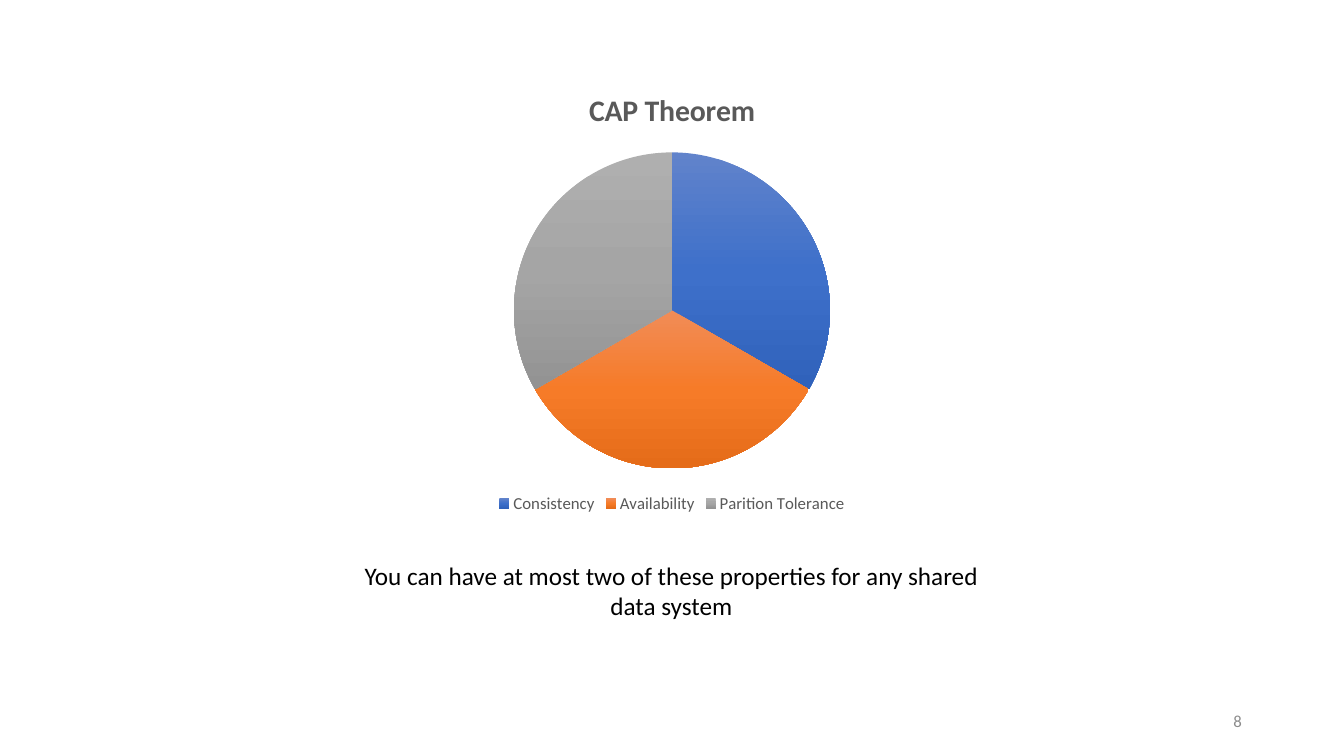
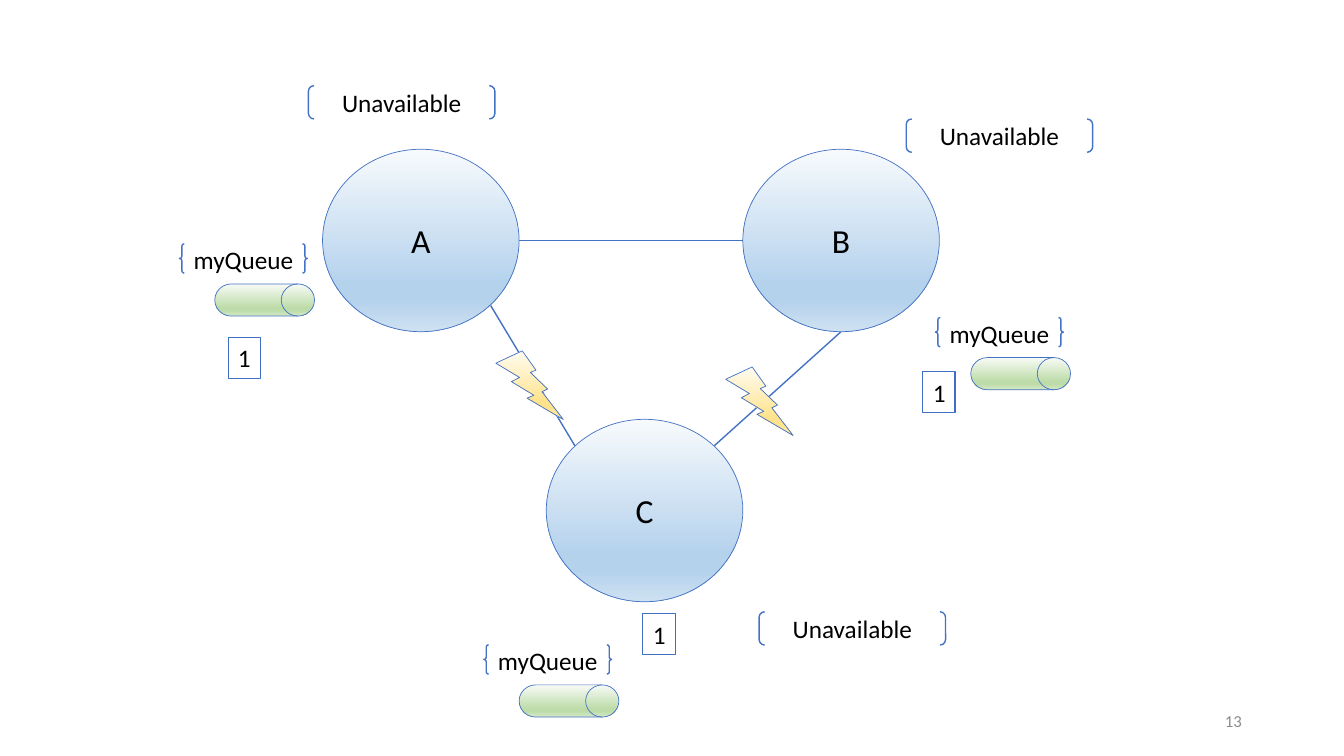
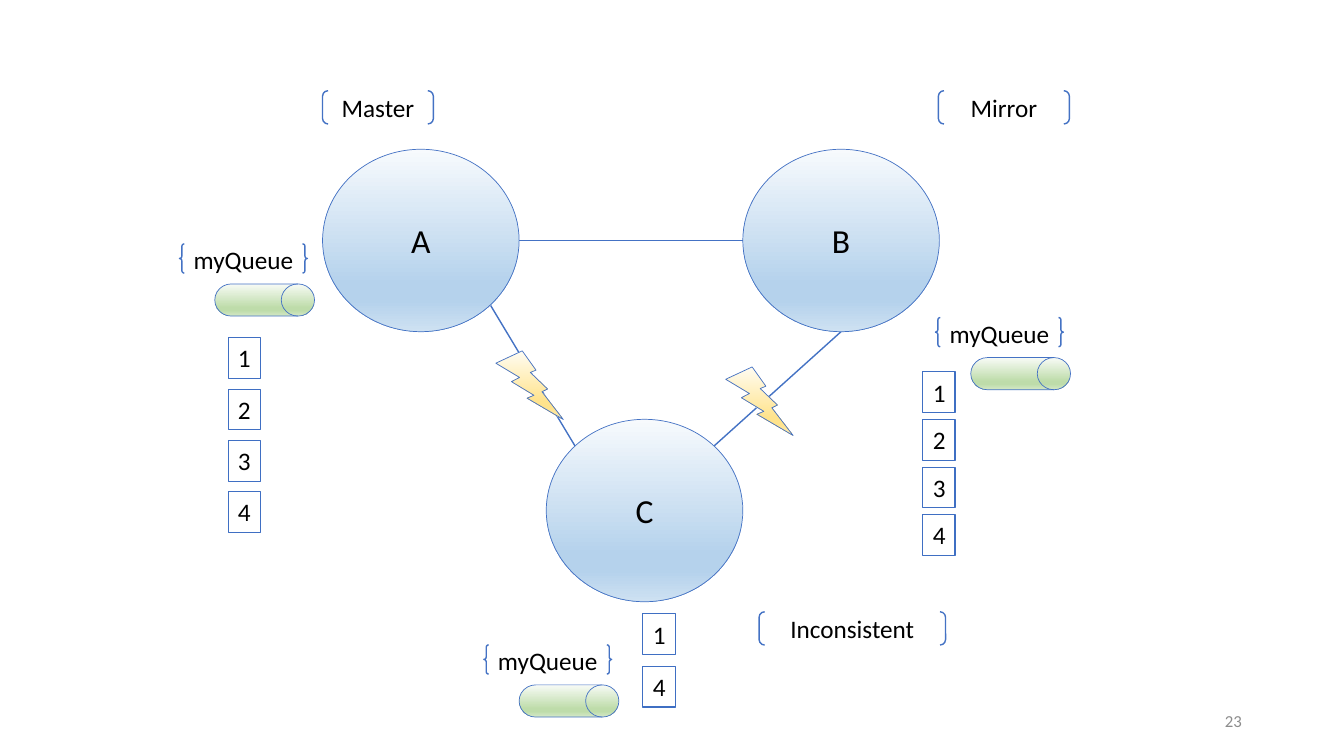
from math import sqrt

from lxml import etree
from pptx import Presentation
from pptx import util as u
from pptx.chart import data
from pptx.dml.color import RGBColor
from pptx.enum import chart as charts, shapes, text
from pptx.oxml import ns

Pt = u.Pt
Kind = shapes.MSO_SHAPE
Align = text.PP_ALIGN
Anchor = text.MSO_ANCHOR

# Shared look
FONT = "Calibri"
BLACK = RGBColor(0x00, 0x00, 0x00)
GRAY = RGBColor(0x59, 0x59, 0x59)
PALE = RGBColor(0x8C, 0x8C, 0x8C)
BLUE = RGBColor(0x44, 0x72, 0xC4)
EDGE = RGBColor(0x3F, 0x6F, 0xC3)


def ramp(places, *codes):
    return [(at, RGBColor.from_string(code)) for at, code in zip(places, codes)]


SOFT = (0, 74, 83, 100)
SKY = ramp(SOFT, "F7FAFD", "B5D2EC", "B5D2EC", "CEE1F2")
LEAF = ramp(SOFT, "F8FBF6", "BEDCAA", "BEDCAA", "D4E8C6")
GOLD = ramp(SOFT, "FFFCF2", "FFE38C", "FFE38C", "FFECB2")
EVEN = (0, 50, 100)
SLICES = [
    ("Consistency", ramp(EVEN, "6183CB", "3E70CA", "3062BB")),
    ("Availability", ramp(EVEN, "F18C57", "F67B28", "E56C19")),
    ("Parition Tolerance", ramp(EVEN, "AFAFAF", "A5A5A5", "939393")),
]

# Cluster layout, in points
NODE_W, NODE_H = 140.4, 130.3
NODES = {"A": (230.4, 106.6), "B": (530.6, 106.6), "C": (390.2, 299.5)}
QUEUES = [(128.2, 174.2), (345.6, 460.6), (668.2, 226.8)]
BOLTS = [(518.4, 262.1), (354.2, 250.6)]
STACKS = {"A": (162.9, 241.2, 36.7), "B": (659.2, 265.7, 34), "C": (459.2, 438.5, 37.4)}


def style(font, size, color, bold=False):
    font.name, font.size, font.bold = FONT, Pt(size), bold
    font.color.rgb = color


def write(shape, words, size=18, color=BLACK, align=Align.CENTER,
          anchor=Anchor.MIDDLE, wrap=True):
    frame = shape.text_frame
    frame.text = words
    frame.word_wrap = wrap
    frame.vertical_anchor = anchor
    para = frame.paragraphs[0]
    para.alignment = align
    style(para.runs[0].font, size, color)


def shade(fill, root, stops):
    """Fill from top to bottom; root holds the newest gradient last."""
    fill.gradient()
    fill.gradient_angle = 270
    stop_list = list(root.iter(ns.qn("a:gsLst")))[-1]
    for old in list(stop_list):
        stop_list.remove(old)
    for at, color in stops:
        stop = etree.SubElement(stop_list, ns.qn("a:gs"), pos=str(at * 1000))
        etree.SubElement(stop, ns.qn("a:srgbClr"), val=str(color))


def label(slide, words, left, top, width, height, **look):
    box = slide.shapes.add_textbox(Pt(left), Pt(top), Pt(width), Pt(height))
    write(box, words, **look)


def draw(slide, kind, left, top, width, height, stops=None, line=BLUE, weight=0.5):
    shape = slide.shapes.add_shape(kind, Pt(left), Pt(top), Pt(width), Pt(height))
    shape.shadow.inherit = False
    shape.line.color.rgb = line
    shape.line.width = Pt(weight)
    if stops:
        shade(shape.fill, shape.element, stops)
    else:
        shape.fill.background()
    return shape


def link(slide, start, end):
    line = slide.shapes.add_connector(
        shapes.MSO_CONNECTOR.STRAIGHT, *(Pt(n) for n in start + end))
    line.line.color.rgb = BLUE
    line.line.width = Pt(1)
    etree.SubElement(line.element.spPr, ns.qn("a:effectLst"))


def rim(name, across, down):
    """Point on a node's outline, in the given direction from its centre."""
    left, top = NODES[name]
    size = sqrt(across ** 2 + down ** 2)
    return (left + NODE_W / 2 * (1 + across / size),
            top + NODE_H / 2 * (1 + down / size))


def queue(slide, left, top):
    brace = draw(slide, Kind.DOUBLE_BRACE, left, top, 91.4, 20.9, weight=1)
    write(brace, "myQueue", wrap=False)
    draw(slide, Kind.FLOWCHART_DIRECT_ACCESS_STORAGE, left + 25.2, top + 28.6,
         71.3, 23, LEAF)


def stack(slide, name, items):
    left, top, step = STACKS[name]
    for row, item in enumerate(items):
        box = draw(slide, Kind.RECTANGLE, left, top + row * step, 23, 29.1,
                   line=EDGE, weight=0.75)
        write(box, item, align=Align.LEFT, anchor=Anchor.TOP, wrap=False)


def state(slide, words, left, top, width):
    write(draw(slide, Kind.DOUBLE_BRACKET, left, top, width, 23.8, weight=1), words)


def page(deck, number):
    slide = deck.slides.add_slide(deck.slide_layouts[6])
    label(slide, number, 678.2, 500.4, 216, 28.8, size=12, color=PALE,
          align=Align.RIGHT)
    return slide


def pie(slide):
    values = data.CategoryChartData()
    values.categories = [name for name, _ in SLICES]
    values.add_series("CAP Theorem", [33] * len(SLICES))
    chart = slide.shapes.add_chart(
        charts.XL_CHART_TYPE.PIE, Pt(240), Pt(49.7), Pt(480), Pt(320), values).chart
    style(chart.font, 10, BLACK)
    # Title and legend
    chart.has_title = True
    title = chart.chart_title
    title.include_in_layout = False
    title.text_frame.text = "CAP Theorem"
    style(title.text_frame.paragraphs[0].runs[0].font, 21.3, GRAY, True)
    chart.has_legend = True
    chart.legend.position = charts.XL_LEGEND_POSITION.BOTTOM
    chart.legend.include_in_layout = False
    style(chart.legend.font, 12, GRAY)
    # Slices
    plot = chart.plots[0]
    plot.vary_by_categories = True
    for index, (_, stops) in enumerate(SLICES):
        look = plot.series[0].points[index].format
        shade(look.fill, chart.element, stops)
        look.line.fill.background()


def cluster(slide, states, stacks):
    # Links and nodes
    link(slide, rim("C", -1, -1), rim("A", 1, 1))
    link(slide, rim("C", 1, -1), rim("B", 0, 1))
    link(slide, rim("A", 1, 0), rim("B", -1, 0))
    for name, (left, top) in NODES.items():
        write(draw(slide, Kind.OVAL, left, top, NODE_W, NODE_H, SKY), name, size=24)
    # Broken links
    for left, top in BOLTS:
        draw(slide, Kind.LIGHTNING_BOLT, left, top, 48.2, 49, GOLD)
    # Queues with their messages
    for left, top in QUEUES:
        queue(slide, left, top)
    for name, items in stacks.items():
        stack(slide, name, items)
    for item in states:
        state(slide, *item)


def main():
    deck = Presentation()
    deck.slide_width, deck.slide_height = Pt(960), Pt(540)

    # Theorem
    slide = page(deck, "8")
    pie(slide)
    label(slide, "You can have at most two of these properties for any shared data system",
          251.3, 396.7, 456.5, 50.9, anchor=Anchor.TOP)

    # Unavailable cluster
    cluster(page(deck, "13"),
            [("Unavailable", 220.3, 61.2, 133.2),
             ("Unavailable", 647.3, 85, 133.2),
             ("Unavailable", 542.2, 437, 133.2)],
            {"A": "1", "B": "1", "C": "1"})

    # Inconsistent cluster
    cluster(page(deck, "23"),
            [("Master", 230.4, 64.8, 79.2),
             ("Mirror", 670.3, 64.8, 93.6),
             ("Inconsistent", 542.2, 437, 133.2)],
            {"A": "1234", "B": "1234", "C": "14"})

    deck.save("out.pptx")


if __name__ == "__main__":
    main()
